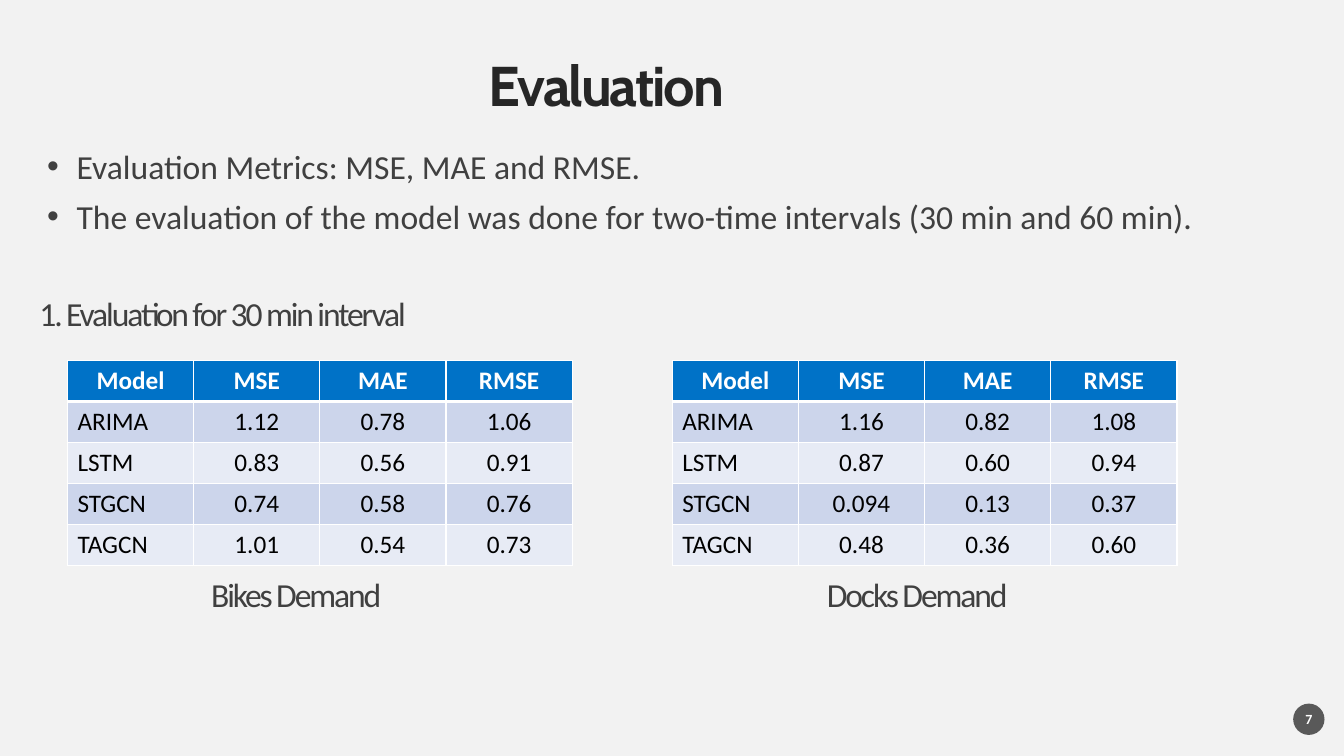
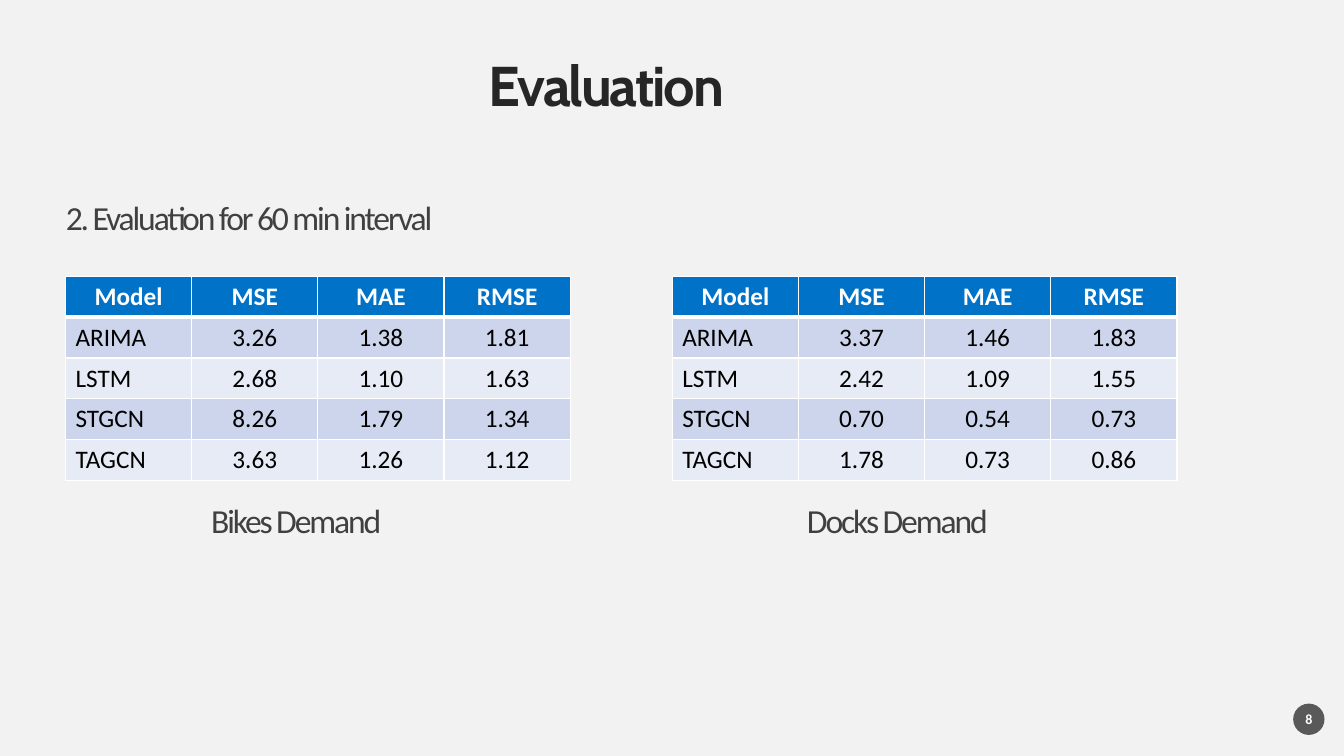
from lxml.etree import SubElement
from pptx import Presentation
from pptx.dml.color import RGBColor
from pptx.enum.shapes import MSO_SHAPE
from pptx.enum.text import MSO_ANCHOR, PP_ALIGN
from pptx.oxml import parse_xml
from pptx.oxml.ns import nsdecls, qn
from pptx.util import Cm, Pt

BACKGROUND = RGBColor(0xF2, 0xF2, 0xF2)
TITLE_COLOR = RGBColor(0x26, 0x26, 0x26)
BODY_COLOR = RGBColor(0x40, 0x40, 0x40)
BADGE_COLOR = RGBColor(0x59, 0x59, 0x59)
HEADER_COLOR = RGBColor(0x00, 0x72, 0xC7)
BANDS = (RGBColor(0xCC, 0xD5, 0xEB), RGBColor(0xE7, 0xEB, 0xF5))
WHITE = RGBColor(0xFF, 0xFF, 0xFF)
BLACK = RGBColor(0x00, 0x00, 0x00)

TITLE = "Evaluation"
METRICS = ("Model", "MSE", "MAE", "RMSE")
MODELS = ("ARIMA", "LSTM", "STGCN", "TAGCN")
COLUMN_WIDTH, ROW_HEIGHT = 3.18, 1.03
LINE_HEIGHT = 1.19
CAPTION_WIDTH = 12.55

EVALUATIONS = [
    {
        "number": "7",
        "bullets": [
            "Evaluation Metrics: MSE, MAE and RMSE.",
            "The evaluation of the model was done for two-time intervals (30 min and 60 min).",
        ],
        "heading": ("1. Evaluation for 30 min interval", 7.37, 11.22),
        "tables_top": 9.09,
        "captions_top": 14.45,
        "demands": [
            ("Bikes Demand", 1.7, 1.19, [
                ("1.12", "0.78", "1.06"),
                ("0.83", "0.56", "0.91"),
                ("0.74", "0.58", "0.76"),
                ("1.01", "0.54", "0.73"),
            ]),
            ("Docks Demand", 16.94, 16.84, [
                ("1.16", "0.82", "1.08"),
                ("0.87", "0.60", "0.94"),
                ("0.094", "0.13", "0.37"),
                ("0.48", "0.36", "0.60"),
            ]),
        ],
    },
    {
        "number": "8",
        "bullets": [],
        "heading": ("2. Evaluation for 60 min interval", 4.93, 12.55),
        "tables_top": 6.96,
        "captions_top": 12.58,
        "demands": [
            ("Bikes Demand", 1.65, 1.19, [
                ("3.26", "1.38", "1.81"),
                ("2.68", "1.10", "1.63"),
                ("8.26", "1.79", "1.34"),
                ("3.63", "1.26", "1.12"),
            ]),
            ("Docks Demand", 16.94, 16.34, [
                ("3.37", "1.46", "1.83"),
                ("2.42", "1.09", "1.55"),
                ("0.70", "0.54", "0.73"),
                ("1.78", "0.73", "0.86"),
            ]),
        ],
    },
]


def write(frame, lines, size=24, color=BODY_COLOR, font="Calibri", bold=False,
          align=PP_ALIGN.CENTER, tracking=0, line_spacing=None, bullet=None):
    for index, line in enumerate(lines):
        paragraph = frame.add_paragraph() if index else frame.paragraphs[0]
        if bullet:
            properties = paragraph._p.get_or_add_pPr()
            properties.set("marL", str(Cm(0.74)))
            properties.set("indent", str(-Cm(0.74)))
            SubElement(properties, qn("a:buFont")).set("typeface", "Arial")
            SubElement(properties, qn("a:buChar")).set("char", bullet)
        paragraph.alignment = align
        if line_spacing:
            paragraph.line_spacing = line_spacing
        if index:
            paragraph.space_before = Pt(10)
        run = paragraph.add_run()
        run.text = line
        run.font.size = Pt(size)
        run.font.name = font
        run.font.bold = bold
        run.font.color.rgb = color
        if tracking:
            run._r.get_or_add_rPr().set("spc", str(round(tracking * 100)))


def clear_margins(frame, anchor):
    frame.word_wrap = True
    frame.vertical_anchor = anchor
    frame.margin_left = frame.margin_top = frame.margin_right = frame.margin_bottom = 0


def add_text(slide, lines, left, top, width, height=LINE_HEIGHT,
             anchor=MSO_ANCHOR.MIDDLE, **text_format):
    frame = slide.shapes.add_textbox(Cm(left), Cm(top), Cm(width), Cm(height)).text_frame
    clear_margins(frame, anchor)
    write(frame, lines, line_spacing=0.9, **text_format)


def add_borders(cell, top, bottom):
    properties = cell._tc.get_or_add_tcPr()
    sides = (("lnL", 1), ("lnR", 1), ("lnT", top), ("lnB", bottom))
    for index, (side, points) in enumerate(sides):
        properties.insert(index, parse_xml(
            f'<a:{side} {nsdecls("a")} w="{Pt(points)}"><a:solidFill>'
            f'<a:srgbClr val="{WHITE}"/></a:solidFill></a:{side}>'))


def add_scores(slide, scores, left, top):
    rows = [METRICS] + [(model, *values) for model, values in zip(MODELS, scores)]
    table = slide.shapes.add_table(
        len(rows), len(METRICS), Cm(left), Cm(top),
        Cm(COLUMN_WIDTH * len(METRICS)), Cm(ROW_HEIGHT * len(rows))).table
    for column in table.columns:
        column.width = Cm(COLUMN_WIDTH)
    for r, values in enumerate(rows):
        table.rows[r].height = Cm(ROW_HEIGHT)
        header = r == 0
        for c, value in enumerate(values):
            cell = table.cell(r, c)
            cell.fill.solid()
            cell.fill.fore_color.rgb = HEADER_COLOR if header else BANDS[(r - 1) % 2]
            add_borders(cell, top=3 if r == 1 else 1, bottom=3 if header else 1)
            write(cell.text_frame, [value], size=18, bold=header,
                  color=WHITE if header else BLACK,
                  align=PP_ALIGN.CENTER if header or c else PP_ALIGN.LEFT)


def add_number(slide, number):
    badge = slide.shapes.add_shape(MSO_SHAPE.OVAL, Cm(32.59), Cm(17.73), Cm(0.79), Cm(0.79))
    badge.shadow.inherit = False
    badge.fill.solid()
    badge.fill.fore_color.rgb = BADGE_COLOR
    badge.line.fill.background()
    clear_margins(badge.text_frame, MSO_ANCHOR.MIDDLE)
    badge.text_frame.word_wrap = False
    write(badge.text_frame, [number], size=10, color=WHITE, bold=True)


def add_evaluation(deck, evaluation):
    slide = deck.slides.add_slide(deck.slide_layouts[6])
    add_text(slide, [TITLE], 1.19, 1.63, 28.17, size=40, color=TITLE_COLOR,
             font="Cabin", bold=True, tracking=-1.5)
    if evaluation["bullets"]:
        add_text(slide, evaluation["bullets"], 1.19, 3.78, 29.54, 2.13,
                 anchor=MSO_ANCHOR.TOP, align=PP_ALIGN.LEFT, bullet="•")
    add_number(slide, evaluation["number"])
    heading, heading_top, heading_width = evaluation["heading"]
    add_text(slide, [heading], 0, heading_top, heading_width, tracking=-1.5)
    for caption, table_left, caption_left, scores in evaluation["demands"]:
        add_scores(slide, scores, table_left, evaluation["tables_top"])
        add_text(slide, [caption], caption_left, evaluation["captions_top"],
                 CAPTION_WIDTH, tracking=-1.5)


def main():
    deck = Presentation()
    deck.slide_width, deck.slide_height = Cm(33.87), Cm(19.05)
    background = deck.slide_master.background.fill
    background.solid()
    background.fore_color.rgb = BACKGROUND
    for evaluation in EVALUATIONS:
        add_evaluation(deck, evaluation)
    deck.save("out.pptx")


if __name__ == "__main__":
    main()
